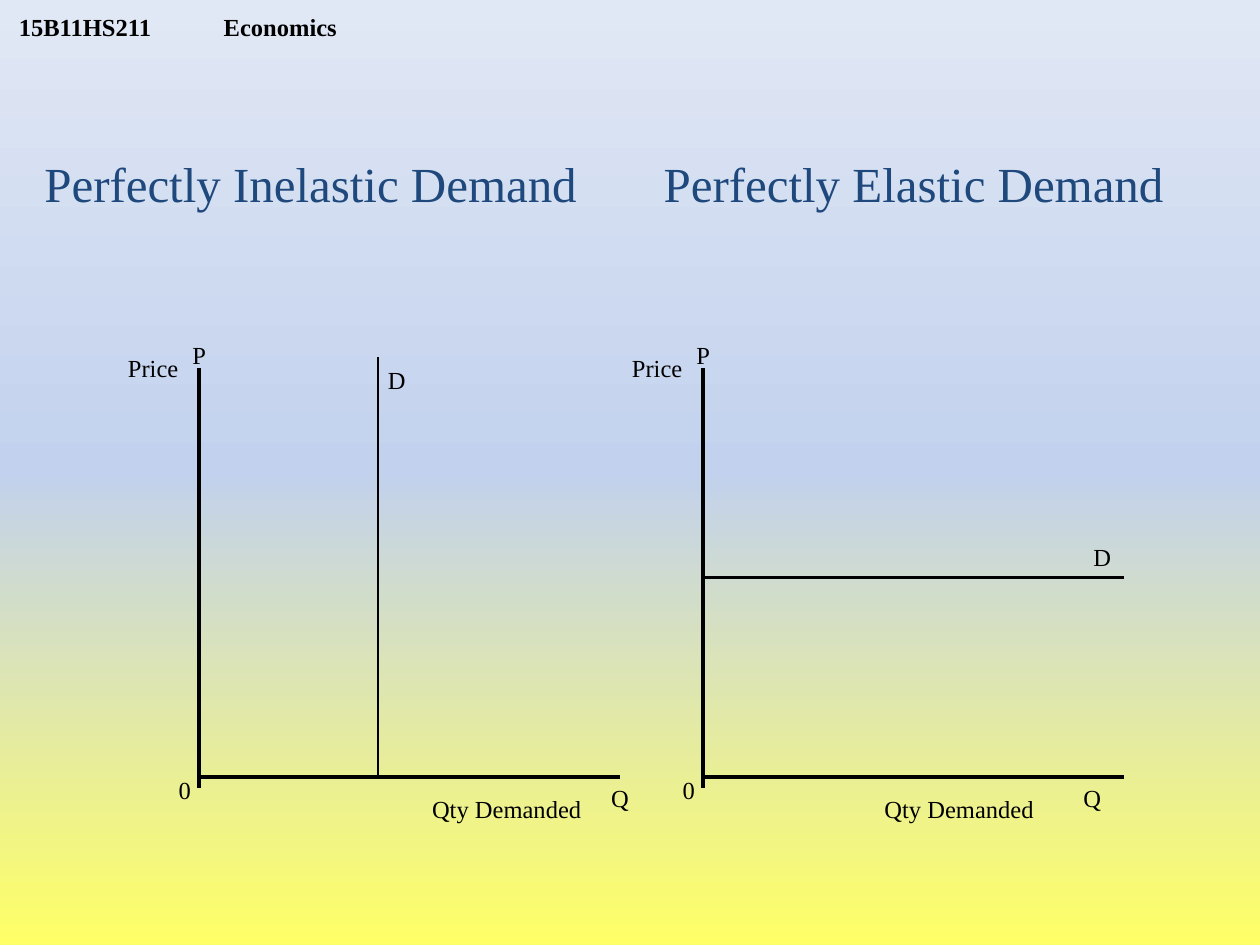
from copy import deepcopy
from lxml import etree
from pptx import Presentation
from pptx.dml.color import RGBColor
from pptx.enum.shapes import MSO_CONNECTOR
from pptx.enum.text import MSO_ANCHOR, MSO_AUTO_SIZE, PP_ALIGN
from pptx.oxml.ns import qn
from pptx.util import Cm, Pt

STRAIGHT = MSO_CONNECTOR.STRAIGHT
TOP, BOTTOM = MSO_ANCHOR.TOP, MSO_ANCHOR.BOTTOM
FIT_TEXT = MSO_AUTO_SIZE.SHAPE_TO_FIT_TEXT
LEFT = PP_ALIGN.LEFT
COLORS = {"ink": "000000", "heading": "1F497D", "yellow": "FFFF66", "blue": "C2D1ED", "pale": "E1E8F5"}


def write(box, text, left, top, width, height, size=14, color="ink"):
    box.left, box.top, box.width, box.height = Cm(left), Cm(top), Cm(width), Cm(height)
    frame = box.text_frame
    frame.text = text
    frame.word_wrap = False
    frame.auto_size = FIT_TEXT
    frame.vertical_anchor = TOP
    para = frame.paragraphs[0]
    para.alignment = LEFT
    font = para.runs[0].font
    font.name, font.size = "Times New Roman", Pt(size)
    font.color.rgb = RGBColor.from_string(COLORS[color])


def draw_line(x1, y1, x2, y2, weight):
    line = page.shapes.add_connector(STRAIGHT, Cm(x1), Cm(y1), Cm(x2), Cm(y2))
    line.line.color.rgb = RGBColor.from_string(COLORS["ink"])
    line.line.width = Pt(weight)
    etree.SubElement(line.element.spPr, qn("a:effectLst"))


deck = Presentation()
deck.slide_width, deck.slide_height = Cm(25.4), Cm(19.05)
page = deck.slides.add_slide(deck.slide_layouts[5])

fill = page.background.fill
fill.gradient()
fill.gradient_angle = 90
last_stop = list(page.element.iter(qn("a:gs")))[-1]
last_stop.addnext(deepcopy(last_stop))
for stop, position, name in zip(fill.gradient_stops, (0, 0.5, 1), ("yellow", "blue", "pale")):
    stop.position = position
    stop.color.rgb = RGBColor.from_string(COLORS[name])

write(page.shapes.title, "Perfectly Inelastic Demand", 0.64, 2.97, 11.25, 1.45, 28, "heading")
elastic_heading = page.shapes.add_textbox(0, 0, 0, 0)
write(elastic_heading, "Perfectly Elastic Demand", 13.13, 2.97, 10.59, 1.45, 28, "heading")

course = page.shapes.add_textbox(0, 0, 0, 0)
write(course, "15B11HS211\tEconomics", 0.13, 0, 8.13, 0.84)
frame = course.text_frame
frame.word_wrap = True
frame.auto_size = MSO_AUTO_SIZE.NONE
frame.vertical_anchor = BOTTOM
frame.margin_top = frame.margin_bottom = 0
para = frame.paragraphs[0]
para.runs[0].font.bold = True
tabs = etree.SubElement(para._p.get_or_add_pPr(), qn("a:tabLst"))
etree.SubElement(tabs, qn("a:tab"), pos=str(Cm(4.13)), algn="l")

axis_top, axis_bottom, base, axis_length = 7.42, 15.88, 15.67, 8.48
panels = [
    (4.01, 8.46, 12.07, (7.57, 7.24)),
    (14.17, 17.58, 21.59, (21.79, 10.8)),
]
for origin, quantity_left, q_left, (d_left, d_top) in panels:
    draw_line(origin, axis_top, origin, axis_bottom, 2.25)
    draw_line(origin, base, origin + axis_length, base, 2.25)
    labels = [
        ("Price", origin - 1.68, 6.99, 1.52),
        ("Qty Demanded", quantity_left, 15.88, 3.53),
        ("0", origin - 0.66, 15.49, 0.76),
        ("Q", q_left, 15.67, 0.86),
        ("P", origin - 0.38, 6.73, 0.79),
        ("D", d_left, d_top, 0.86),
    ]
    for text, left, top, width in labels:
        write(page.shapes.add_textbox(0, 0, 0, 0), text, left, top, width, 0.84)

draw_line(7.62, 7.2, 7.62, base, 1.5)
draw_line(14.17, 11.64, 14.17 + axis_length, 11.64, 1.5)

deck.save("out.pptx")
